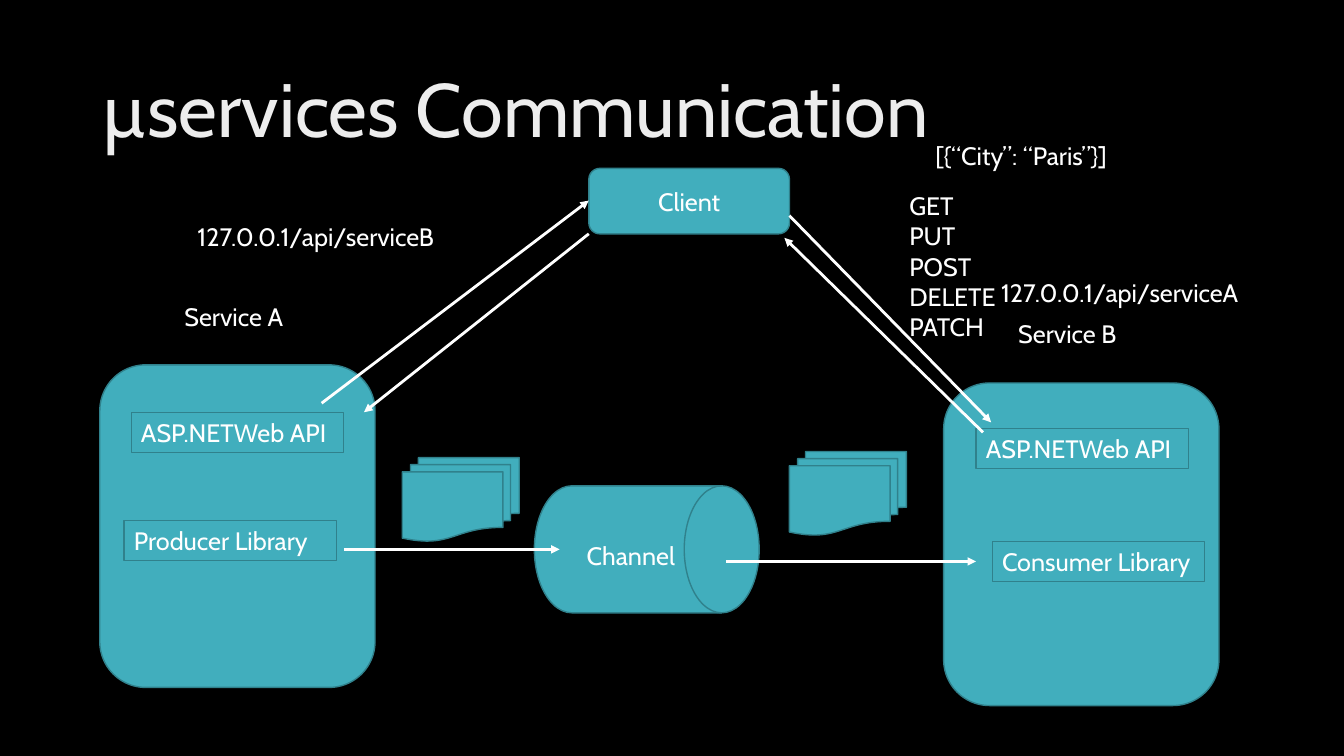
from dataclasses import dataclass

from lxml.etree import SubElement
from pptx import Presentation
from pptx.dml.color import RGBColor
from pptx.enum.shapes import MSO_CONNECTOR as Connector, MSO_SHAPE as Shape
from pptx.enum.text import MSO_ANCHOR as Anchor, MSO_AUTO_SIZE as AutoSize, PP_ALIGN as Align
from pptx.oxml.ns import qn
from pptx.util import Inches, Pt


@dataclass(frozen=True)
class Theme:
    font: str = "Cabin"
    background: str = "000000"
    title: str = "EDEDED"
    text: str = "FFFFFF"
    fill: str = "41AEBD"
    outline: str = "30818C"
    title_size: float = 54
    text_size: float = 18
    outline_width: float = 1
    frame_width: float = 0.75
    arrow_width: float = 2


class Diagram:
    columns, rows = 13.33, 7.5

    def __init__(self, presentation, theme):
        self.theme = theme
        self.column = presentation.slide_width / self.columns
        self.row = presentation.slide_height / self.rows
        self.slide = presentation.slides.add_slide(presentation.slide_layouts[5])
        self.paint(self.slide.background.fill, theme.background)

    def paint(self, fill, color):
        fill.solid()
        fill.fore_color.rgb = RGBColor.from_string(color)

    def grid(self, *lengths):
        units = (self.column, self.row) * 2
        return [round(length * unit) for length, unit in zip(lengths, units)]

    def set_text(self, shape, text, size, color, paragraph_format, frame_format):
        frame = shape.text_frame
        frame.text = text
        for name, value in {"word_wrap": True, **frame_format}.items():
            setattr(frame, name, value)
        for paragraph in frame.paragraphs:
            for name, value in paragraph_format.items():
                setattr(paragraph, name, value)
            for run in paragraph.runs:
                for name, value in {"name": self.theme.font, "size": Pt(size)}.items():
                    setattr(run.font, name, value)
                self.paint(run.font.fill, color)

    def title(self, text, *box):
        shape = self.slide.shapes.title
        for name, value in zip(("left", "top", "width", "height"), self.grid(*box)):
            setattr(shape, name, value)
        self.set_text(shape, text, self.theme.title_size, self.theme.title,
                      {"alignment": Align.LEFT, "line_spacing": 0.9},
                      {"vertical_anchor": Anchor.MIDDLE, "auto_size": AutoSize.NONE})

    def body_text(self, shape, text, alignment=Align.LEFT, **frame_format):
        self.set_text(shape, text, self.theme.text_size, self.theme.text,
                      {"alignment": alignment}, frame_format)

    def label(self, text, *box):
        shape = self.slide.shapes.add_textbox(*self.grid(*box))
        self.body_text(shape, text, auto_size=AutoSize.SHAPE_TO_FIT_TEXT)

    def outlined(self, kind, box, width):
        shape = self.slide.shapes.add_shape(kind, *self.grid(*box))
        shape.shadow.inherit = False
        shape.line.width = Pt(width)
        self.paint(shape.line.fill, self.theme.outline)
        return shape

    def block(self, kind, *box, text=""):
        shape = self.outlined(kind, box, self.theme.outline_width)
        self.paint(shape.fill, self.theme.fill)
        if text:
            self.body_text(shape, text, Align.CENTER, vertical_anchor=Anchor.MIDDLE)

    def library(self, text, left, top):
        shape = self.outlined(Shape.RECTANGLE, (left, top, 2.11, 0.4), self.theme.frame_width)
        shape.fill.background()
        self.body_text(shape, text, vertical_anchor=Anchor.TOP,
                       auto_size=AutoSize.SHAPE_TO_FIT_TEXT)

    def arrow(self, *ends):
        connector = self.slide.shapes.add_connector(Connector.STRAIGHT, *self.grid(*ends))
        connector.line.width = Pt(self.theme.arrow_width)
        self.paint(connector.line.fill, self.theme.text)
        properties = connector._element.spPr
        SubElement(properties.find(qn("a:ln")), qn("a:tailEnd"), type="triangle")
        SubElement(properties, qn("a:effectLst"))


def main():
    presentation = Presentation()
    presentation.slide_width = Inches(13.33)
    presentation.slide_height = Inches(7.5)
    diagram = Diagram(presentation, Theme())

    diagram.title("µservices Communication", 0.92, 0.4, 11.5, 1.45)

    for left, top in ((0.99, 3.62), (9.36, 3.8)):
        diagram.block(Shape.ROUNDED_RECTANGLE, left, top, 2.73, 3.2)
    diagram.block(Shape.ROUNDED_RECTANGLE, 5.84, 1.67, 1.99, 0.65, text="Client")

    for text, left, top in (
        ("ASP.NETWeb API", 1.3, 4.09),
        ("ASP.NETWeb API", 9.68, 4.25),
        ("Producer Library", 1.23, 5.16),
        ("Consumer Library", 9.84, 5.37),
    ):
        diagram.library(text, left, top)

    for left, top in ((3.99, 4.54), (7.83, 4.48)):
        diagram.block(Shape.FLOWCHART_MULTIDOCUMENT, left, top, 1.16, 0.83)
    diagram.block(Shape.FLOWCHART_DIRECT_ACCESS_STORAGE, 5.3, 4.82, 2.23, 1.26)

    for ends in (
        (9.75, 4.29, 7.78, 2.36),
        (7.83, 2.14, 9.83, 4.19),
        (3.19, 4, 5.84, 1.99),
        (5.84, 2.32, 3.61, 4.09),
        (3.41, 5.45, 5.55, 5.45),
        (7.2, 5.57, 9.68, 5.57),
    ):
        diagram.arrow(*ends)

    for text, *box in (
        ("Service A", 1.73, 2.94, 1.25, 0.4),
        ("Service B", 10, 3.11, 1.25, 0.4),
        ("127.0.0.1/api/serviceA", 9.83, 2.7, 2.58, 0.4),
        ("127.0.0.1/api/serviceB", 1.86, 2.15, 2.58, 0.4),
        ("GET\nPUT\nPOST\nDELETE\nPATCH", 8.92, 1.84, 1.28, 1.62),
        ("[{“City”: “Paris”}]", 9.18, 1.34, 2.03, 0.4),
        ("Channel", 5.72, 5.31, 1.21, 0.4),
    ):
        diagram.label(text, *box)

    presentation.save("out.pptx")


if __name__ == "__main__":
    main()
